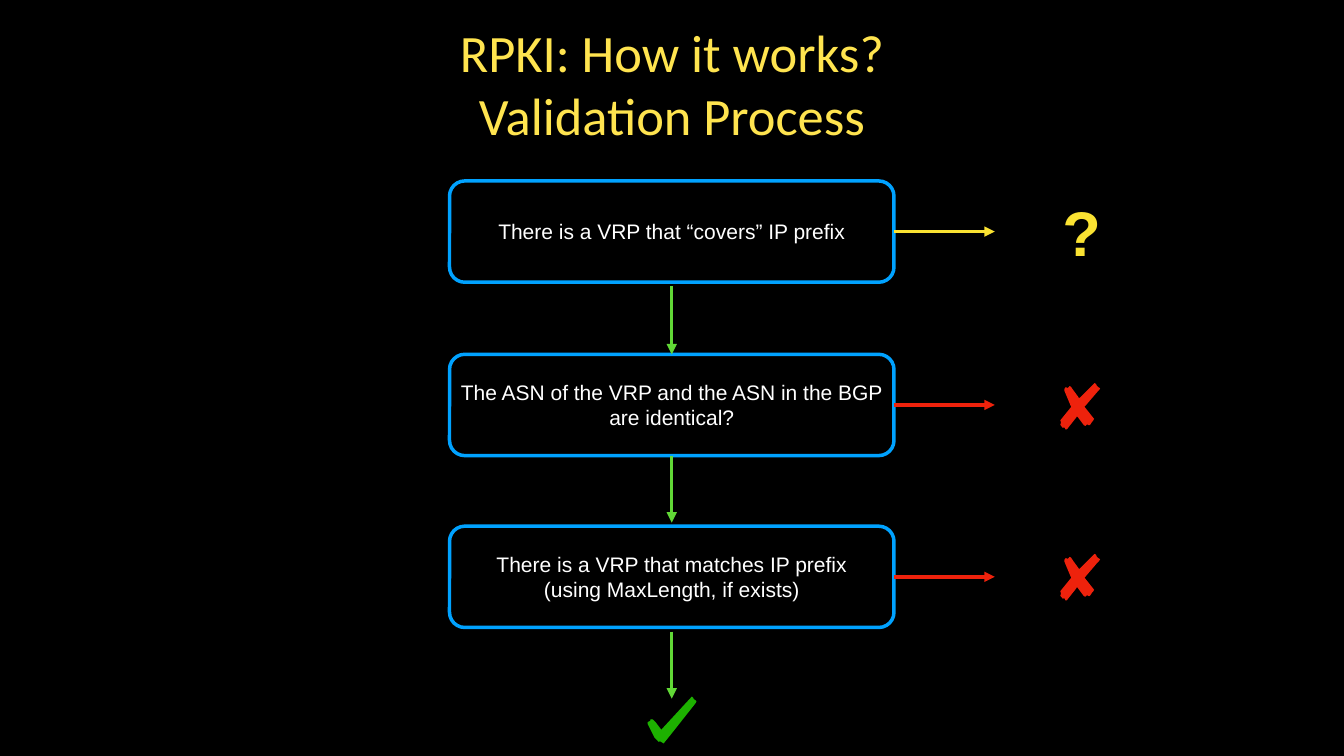
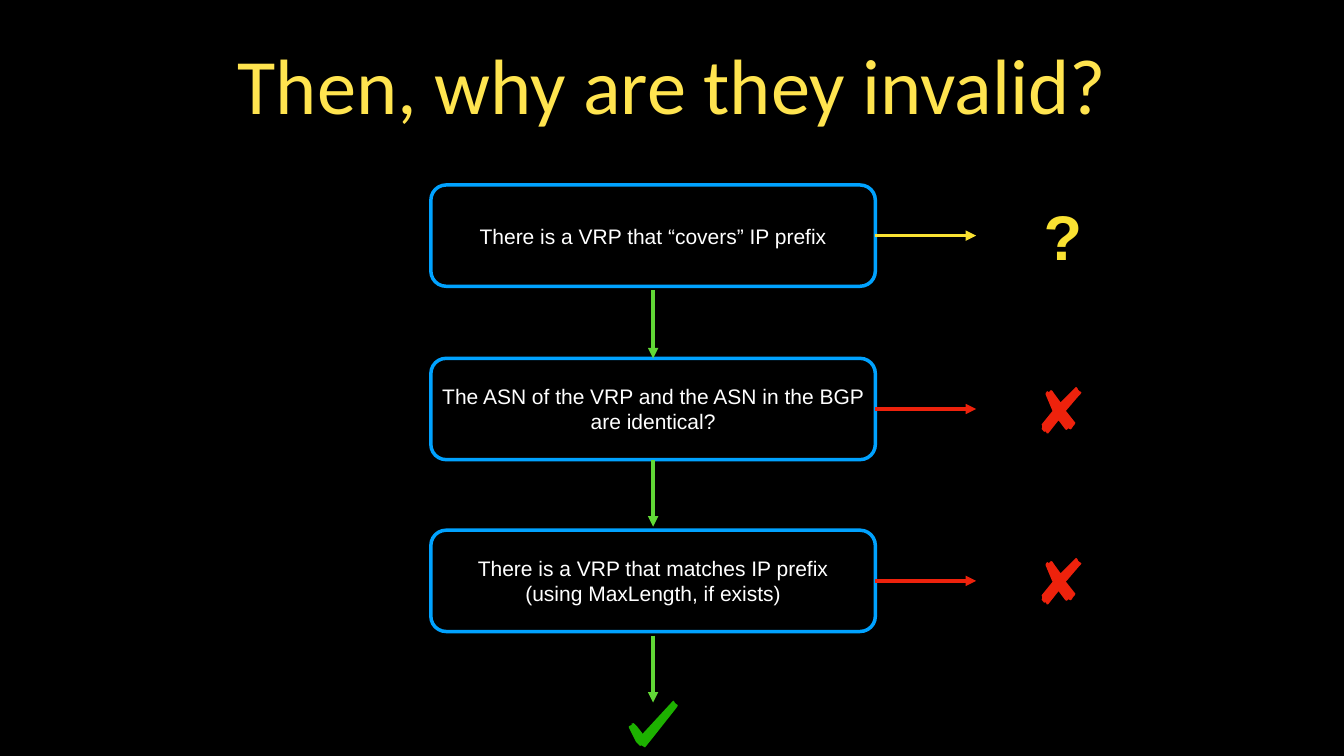
from lxml import etree
from pptx import Presentation
from pptx.dml.color import RGBColor
from pptx.enum.shapes import MSO_CONNECTOR, MSO_SHAPE
from pptx.enum.text import MSO_ANCHOR, MSO_AUTO_SIZE, PP_ALIGN
from pptx.oxml.ns import qn
from pptx.util import Inches, Pt

ROUNDED = MSO_SHAPE.ROUNDED_RECTANGLE
STRAIGHT = MSO_CONNECTOR.STRAIGHT
MIDDLE = MSO_ANCHOR.MIDDLE
CENTER = PP_ALIGN.CENTER
GROW = MSO_AUTO_SIZE.SHAPE_TO_FIT_TEXT
BOTTOM_SIDE, RIGHT_SIDE, TOP_SIDE = 2, 3, 0

BLACK = "000000"
WHITE = "FFFFFF"
TITLE_YELLOW = "FFE44F"
UNKNOWN_YELLOW = "FAE232"
INVALID_RED = "EE220C"
VALID_GREEN = "1DB100"
ARROW_GREEN = "61D836"
BOX_BLUE = "00A2FF"

TITLE_BOX = (1.85, 0.39, 22.97, 2.5)
BOX_WIDTH, BOX_HEIGHT = 8.82, 2.01
BOX_TOPS = (0, 3.44, 6.85)
LINE_WIDTH = 5
SIDE_ARROW_END = 10.82
DOWN_ARROW_LENGTH = 1.33
DOWN_ARROW_TOPS = (2.09, 5.45, 8.94)
CROSS_LEFT, CROSS_TOPS = 12.12, (4.01, 7.4)
CHECK_LEFT, CHECK_TOP = 3.92, 10.23

QUESTIONS = (
    ("There is a VRP that “covers” IP prefix",),
    ("The ASN of the VRP and the ASN in the BGP are identical?",),
    ("There is a VRP that matches IP prefix", "(using MaxLength, if exists)"),
)

CROSS_OUTLINE = (
    (68, 0), (66, 2), (39, 29), (37, 30), (36, 28), (25, 13), (21, 7), (18, 6),
    (17, 8), (14, 10), (11, 8), (8, 12), (8, 15), (21, 46), (22, 47), (0, 74),
    (1, 77), (1, 80), (0, 83), (5, 89), (7, 88), (9, 89), (10, 92), (13, 92),
    (32, 68), (33, 66), (35, 68), (47, 84), (50, 85), (53, 82), (57, 84), (59, 83),
    (61, 80), (63, 77), (65, 75), (67, 71), (48, 47), (50, 45), (74, 17), (77, 14),
    (79, 11), (77, 9), (75, 8), (72, 5), (72, 4), (70, 1),
)
CHECK_OUTLINE = (
    (89, 0), (30, 64), (28, 66), (27, 64), (17, 51), (12, 46), (10, 45), (6, 46),
    (7, 48), (1, 51), (1, 52), (1, 54), (15, 82), (23, 90), (26, 89), (33, 93),
    (46, 77), (95, 15), (97, 12), (98, 10), (97, 8), (95, 7), (92, 4), (92, 3),
)


def color(value):
    return RGBColor.from_string(value)


def write_text(shape, lines, font_name, size, font_color, margin=0.08, bold=False, wrap=True):
    frame = shape.text_frame
    frame.word_wrap = wrap
    frame.vertical_anchor = MIDDLE
    frame.margin_left = frame.margin_right = Inches(margin)
    frame.margin_top = frame.margin_bottom = Inches(margin)
    for index, line in enumerate(lines):
        paragraph = frame.add_paragraph() if index else frame.paragraphs[0]
        paragraph.alignment = CENTER
        run = paragraph.add_run()
        run.text = line
        run.font.name = font_name
        run.font.size = Pt(size)
        run.font.bold = bold
        run.font.color.rgb = color(font_color)


def add_title(slide, lines, size):
    title = slide.shapes.add_textbox(*map(Inches, TITLE_BOX))
    write_text(title, lines, "Calibri", size, TITLE_YELLOW, margin=0.06)


def add_question(slide, left, top, lines):
    box = slide.shapes.add_shape(
        ROUNDED, Inches(left), Inches(top), Inches(BOX_WIDTH), Inches(BOX_HEIGHT))
    box.adjustments[0] = 0.15
    box.shadow.inherit = False
    box.fill.background()
    box.line.color.rgb = color(BOX_BLUE)
    box.line.width = Pt(LINE_WIDTH)
    write_text(box, lines, "Arial", 30, WHITE)
    return box


def add_arrow(slide, start, end, line_color):
    arrow = slide.shapes.add_connector(STRAIGHT, *map(Inches, start + end))
    arrow.line.color.rgb = color(line_color)
    arrow.line.width = Pt(LINE_WIDTH)
    etree.SubElement(arrow.line._get_or_add_ln(), qn("a:tailEnd"), type="triangle")
    etree.SubElement(arrow._element.spPr, qn("a:effectLst"))
    return arrow


def add_mark(slide, left, top, outline, fill_color):
    builder = slide.shapes.build_freeform(*outline[0], scale=Inches(0.01))
    builder.add_line_segments(outline[1:], close=True)
    mark = builder.convert_to_shape(Inches(left), Inches(top))
    mark.shadow.inherit = False
    mark.fill.solid()
    mark.fill.fore_color.rgb = color(fill_color)
    mark.line.fill.background()


def add_question_mark(slide, left, top):
    mark = slide.shapes.add_textbox(Inches(left), Inches(top), Inches(0.87), Inches(1.66))
    write_text(mark, ["?"], "Arial", 90, UNKNOWN_YELLOW, bold=True, wrap=False)
    mark.text_frame.auto_size = GROW


def add_validation_flow(slide, left, top):
    boxes = [add_question(slide, left, top + offset, lines)
             for offset, lines in zip(BOX_TOPS, QUESTIONS)]

    side_colors = (UNKNOWN_YELLOW, INVALID_RED, INVALID_RED)
    for box, offset, side_color in zip(boxes, BOX_TOPS, side_colors):
        middle = top + offset + BOX_HEIGHT / 2
        arrow = add_arrow(slide, (left + BOX_WIDTH, middle),
                          (left + SIDE_ARROW_END, middle), side_color)
        arrow.begin_connect(box, RIGHT_SIDE)

    center = left + BOX_WIDTH / 2
    down_arrows = [
        add_arrow(slide, (center, top + offset),
                  (center, top + offset + DOWN_ARROW_LENGTH), ARROW_GREEN)
        for offset in DOWN_ARROW_TOPS]
    down_arrows[0].end_connect(boxes[1], TOP_SIDE)
    down_arrows[1].begin_connect(boxes[1], BOTTOM_SIDE)

    add_question_mark(slide, left + 12.08, top + 0.17)
    for offset in CROSS_TOPS:
        add_mark(slide, left + CROSS_LEFT, top + offset, CROSS_OUTLINE, INVALID_RED)
    add_mark(slide, left + CHECK_LEFT, top + CHECK_TOP, CHECK_OUTLINE, VALID_GREEN)


def add_flow_slide(presentation, title_lines, title_size, flow_left, flow_top):
    slide = presentation.slides.add_slide(presentation.slide_layouts[6])
    add_title(slide, title_lines, title_size)
    add_validation_flow(slide, flow_left, flow_top)


def main():
    presentation = Presentation()
    presentation.slide_width = Inches(26.67)
    presentation.slide_height = Inches(15)
    background = presentation.slide_master.background.fill
    background.solid()
    background.fore_color.rgb = color(BLACK)

    add_flow_slide(presentation, ["RPKI: How it works?", "Validation Process"], 75, 8.92, 3.59)
    add_flow_slide(presentation, ["Then, why are they invalid?"], 112, 8.55, 3.67)
    presentation.save("out.pptx")


if __name__ == "__main__":
    main()
